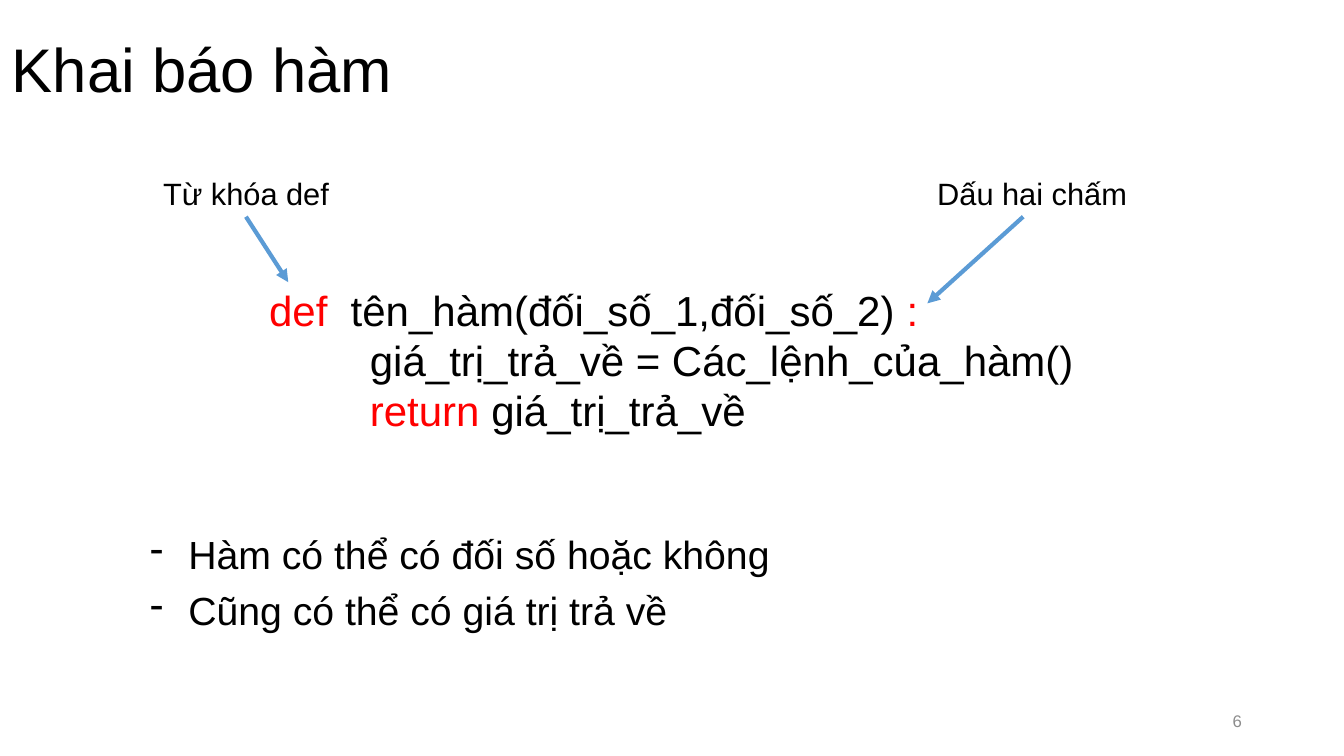
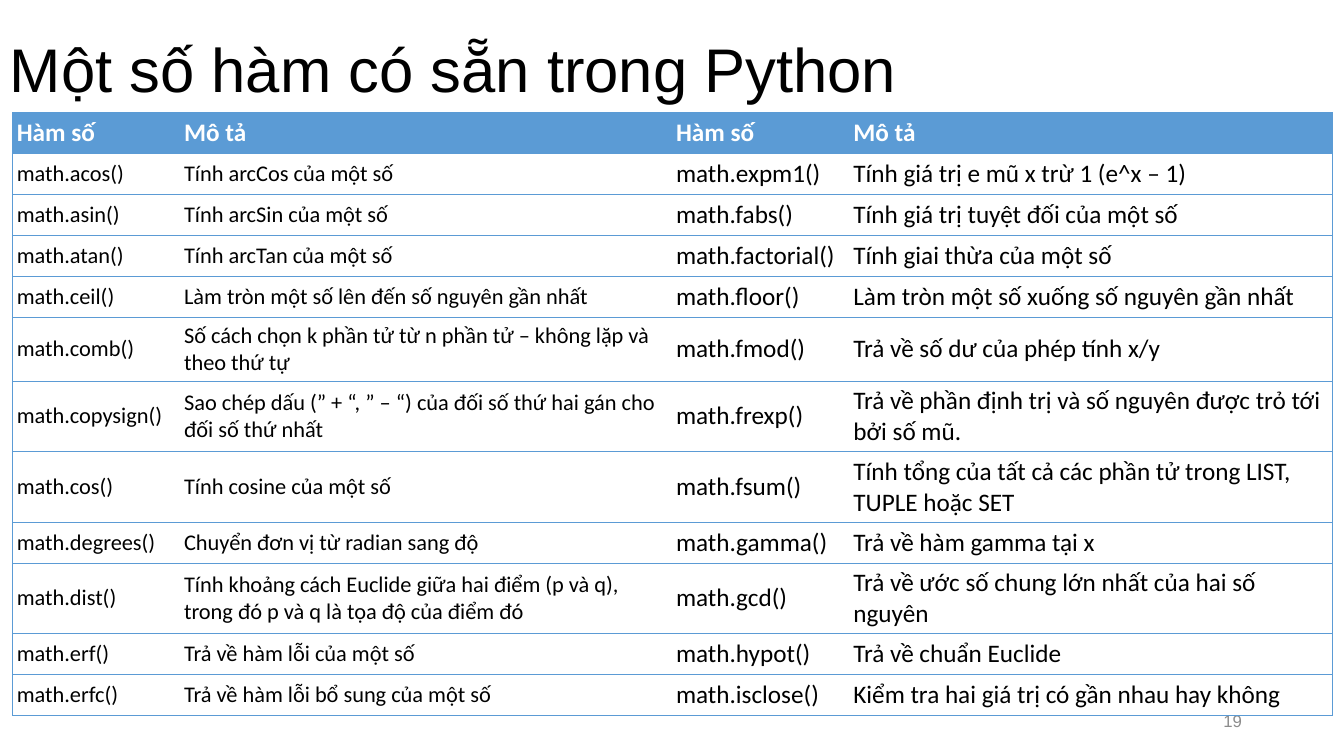
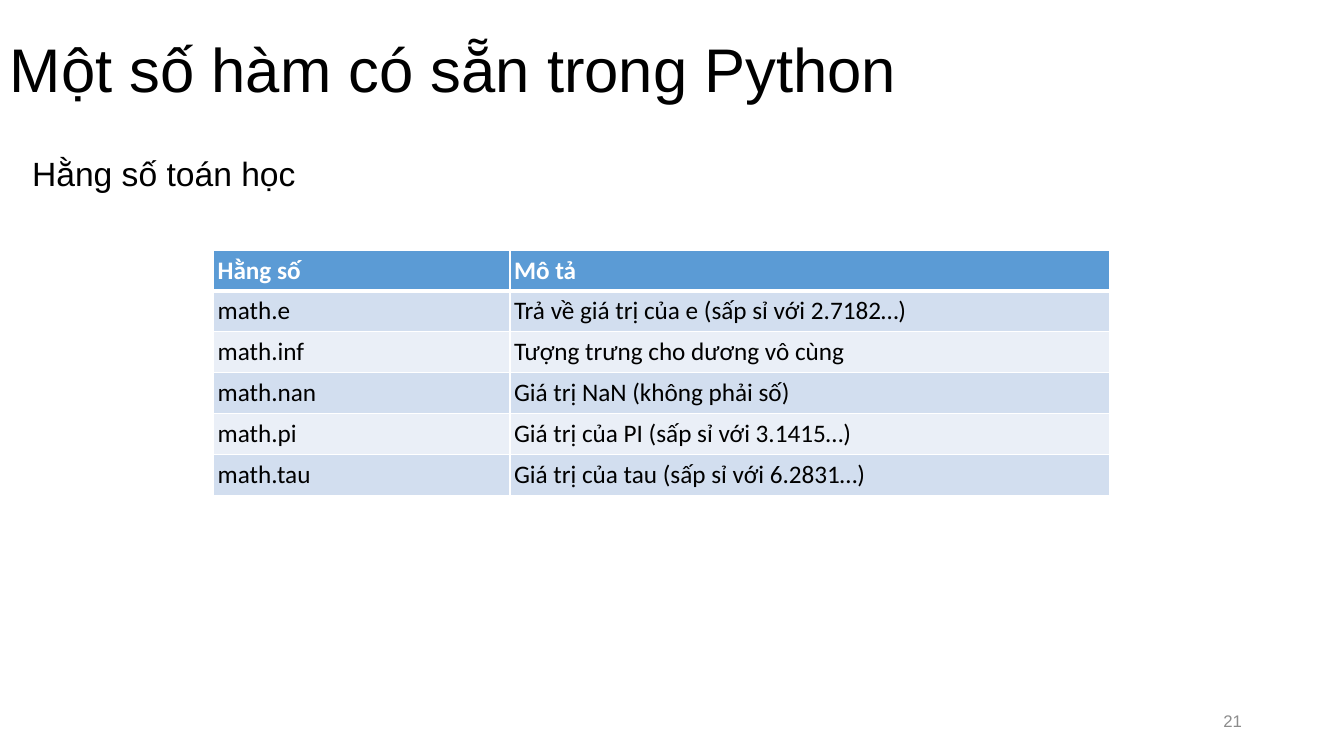
from dataclasses import dataclass

from lxml.etree import SubElement
from pptx import Presentation
from pptx.dml.color import RGBColor
from pptx.enum.shapes import MSO_CONNECTOR
from pptx.enum.text import MSO_ANCHOR, PP_ALIGN
from pptx.oxml import parse_xml
from pptx.oxml.ns import nsdecls, qn
from pptx.util import Inches, Pt


@dataclass(frozen=True)
class Theme:
    black: str = "000000"
    white: str = "FFFFFF"
    red: str = "FF0000"
    blue: str = "5B9BD5"
    grey: str = "8C8C8C"
    band_dark: str = "D2DEEF"
    band_light: str = "EAEFF7"
    body_font: str = "Arial"
    table_font: str = "Calibri"
    title: int = 44
    code: int = 30
    bullet: int = 28
    subtitle: int = 24
    label: int = 22
    cell: int = 18
    small_cell: int = 16
    number: int = 12


T = Theme()

prs = Presentation()
prs.slide_width, prs.slide_height = Inches(13.33), Inches(7.5)
# Grid of 100 columns by 100 rows
COL, ROW = prs.slide_width / 100, prs.slide_height / 100


def text(tf, *paras, size, color=T.black, font=T.body_font, bold=False,
         align=PP_ALIGN.LEFT, anchor=MSO_ANCHOR.TOP, spacing=None,
         before=None, indents=None, bullet=None):
    """Fill a frame; a paragraph is a string or a list of (string, colour)."""
    tf.word_wrap = True
    tf.vertical_anchor = anchor
    for i, para in enumerate(paras):
        p = tf.paragraphs[0] if i == 0 else tf.add_paragraph()
        p.alignment, p.line_spacing, p.space_before = align, spacing, before
        pPr = p._p.get_or_add_pPr()
        if indents:
            pPr.set("marL", str(Inches(indents[i])))
        if bullet:
            pPr.set("indent", str(-Inches(indents[i])))
            SubElement(pPr, qn("a:buChar")).set("char", bullet)
        for string, run_color in [(para, color)] if isinstance(para, str) else para:
            r = p.add_run()
            r.text = string
            r.font.size, r.font.name, r.font.bold = Pt(size), font, bold
            r.font.color.rgb = RGBColor.from_string(run_color)


def box(s, x, y, w, h):
    """Add a text box given in grid columns and rows; return its frame."""
    return s.shapes.add_textbox(round(x * COL), round(y * ROW),
                                round(w * COL), round(h * ROW)).text_frame


# Titles and slide numbers
slides = []
for title, number, left in [("Khai báo hàm", "6", 0.15),
                            ("Một số hàm có sẵn trong Python", "19", 0),
                            ("Một số hàm có sẵn trong Python", "21", 0)]:
    s = prs.slides.add_slide(prs.slide_layouts[6])
    text(box(s, left, 0, 100 - left, 19.33), title, size=T.title,
         anchor=MSO_ANCHOR.MIDDLE, spacing=0.9)
    text(box(s, 70.65, 92.67, 22.5, 5.33), number, size=T.number, color=T.grey,
         align=PP_ALIGN.RIGHT, anchor=MSO_ANCHOR.MIDDLE)
    slides.append(s)
declaration, functions, constants = slides

# Function declaration
text(box(declaration, 19.28, 36.93, 77.48, 21.6),
     [("def", T.red), ("  tên_hàm(đối_số_1,đối_số_2) ", T.black), (":", T.red)],
     "giá_trị_trả_về = Các_lệnh_của_hàm()",
     [("return", T.red), (" giá_trị_trả_về", T.black)],
     size=T.code, indents=(0, 1, 1))

# Labels with arrows to the code
for label, x, w, start, end in [
        ("Từ khóa def", 11.4, 15.08, (18.3, 28.67), (21.45, 37.33)),
        ("Dấu hai chấm", 69, 21.68, (76.13, 28.67), (69, 40.13))]:
    text(box(declaration, x, 22.4, w, 6.27), label, size=T.label)
    sp = declaration.shapes.add_connector(
        MSO_CONNECTOR.STRAIGHT, round(start[0] * COL), round(start[1] * ROW),
        round(end[0] * COL), round(end[1] * ROW))
    sp.line.color.rgb = RGBColor.from_string(T.blue)
    sp.line.width = Pt(3)
    SubElement(sp.line._get_or_add_ln(), qn("a:tailEnd")).set("type", "triangle")
    SubElement(sp._element.spPr, qn("a:effectLst"))

# Notes on arguments and return values
text(box(declaration, 10.43, 69.47, 84.53, 19.73),
     "Hàm có thể có đối số hoặc không", "Cũng có thể có giá trị trả về",
     size=T.bullet, align=PP_ALIGN.JUSTIFY, before=Pt(6.5),
     indents=(0.38, 0.38), bullet="-")

# Subtitle of the constants
text(box(constants, 1.65, 19.6, 92.18, 6.67), "Hằng số toán học",
     size=T.subtitle, align=PP_ALIGN.JUSTIFY)

# Table contents
function_rows = [
    ("Hàm số", "Mô tả", "Hàm số", "Mô tả"),
    ("math.acos()", "Tính arcCos của một số",
     "math.expm1()", "Tính giá trị e mũ x trừ 1 (e^x – 1)"),
    ("math.asin()", "Tính arcSin của một số",
     "math.fabs()", "Tính giá trị tuyệt đối của một số"),
    ("math.atan()", "Tính arcTan của một số",
     "math.factorial()", "Tính giai thừa của một số"),
    ("math.ceil()", "Làm tròn một số lên đến số nguyên gần nhất",
     "math.floor()", "Làm tròn một số xuống số nguyên gần nhất"),
    ("math.comb()", "Số cách chọn k phần tử từ n phần tử – không lặp và theo thứ tự",
     "math.fmod()", "Trả về số dư của phép tính x/y"),
    ("math.copysign()",
     "Sao chép dấu (” + “, ” – “) của đối số thứ hai gán cho đối số thứ nhất",
     "math.frexp()", "Trả về phần định trị và số nguyên được trỏ tới bởi số mũ."),
    ("math.cos()", "Tính cosine của một số",
     "math.fsum()", "Tính tổng của tất cả các phần tử trong LIST, TUPLE hoặc SET"),
    ("math.degrees()", "Chuyển đơn vị từ radian sang độ",
     "math.gamma()", "Trả về hàm gamma tại x"),
    ("math.dist()",
     "Tính khoảng cách Euclide giữa hai điểm (p và q), trong đó p và q là tọa độ của điểm đó",
     "math.gcd()", "Trả về ước số chung lớn nhất của hai số nguyên"),
    ("math.erf()", "Trả về hàm lỗi của một số",
     "math.hypot()", "Trả về chuẩn Euclide"),
    ("math.erfc()", "Trả về hàm lỗi bổ sung của một số",
     "math.isclose()", "Kiểm tra hai giá trị có gần nhau hay không"),
]
constant_rows = [
    ("Hằng số", "Mô tả"),
    ("math.e", "Trả về giá trị của e (sấp sỉ với 2.7182…)"),
    ("math.inf", "Tượng trưng cho dương vô cùng"),
    ("math.nan", "Giá trị NaN (không phải số)"),
    ("math.pi", "Giá trị của PI (sấp sỉ với 3.1415…)"),
    ("math.tau", "Giá trị của tau (sấp sỉ với 6.2831…)"),
]

# Tables: banded ones have a full white grid, plain ones blue rules and a frame
row_height = Pt(29.2)
for s, rows, x, y, widths, sizes, banded in [
        (functions, function_rows, 0.95, 14.9, (12.45, 36.6, 13.2, 35.92),
         (T.small_cell, T.small_cell, T.cell, T.cell), False),
        (constants, constant_rows, 15.9, 33.07, (22.05, 44.62),
         (T.cell, T.cell), True)]:
    table = s.shapes.add_table(len(rows), len(widths), round(x * COL), round(y * ROW),
                               round(sum(widths) * COL), row_height * len(rows)).table
    table.first_row = table.horz_banding = False
    for column, width in zip(table.columns, widths):
        column.width = round(width * COL)
    line_color, thin = (T.white, 1) if banded else (T.blue, 0.5)
    last = len(widths) - 1
    for i, row in enumerate(rows):
        table.rows[i].height = row_height
        for j, string in enumerate(row):
            cell = table.cell(i, j)
            header = i == 0
            cell.margin_left, cell.margin_right = Inches(0.04), Inches(0.1)
            cell.margin_top = cell.margin_bottom = Inches(0.05)
            cell.vertical_anchor = MSO_ANCHOR.MIDDLE
            text(cell.text_frame, string, size=T.cell if header else sizes[j],
                 color=T.white if header else T.black, font=T.table_font, bold=header)
            if header or banded:
                cell.fill.solid()
                cell.fill.fore_color.rgb = RGBColor.from_string(
                    T.blue if header else T.band_dark if i % 2 else T.band_light)
            else:
                cell.fill.background()
            # Borders stand before the fill, in the order left, right, top, bottom
            borders = {"lnL": thin if banded or j == 0 else 0,
                       "lnR": thin if banded or j == last else 0,
                       "lnT": 3 if banded and i == 1 else thin,
                       "lnB": 3 if banded and header else thin}
            tcPr = cell._tc.get_or_add_tcPr()
            for k, (tag, width) in enumerate(borders.items()):
                paint = (f'<a:solidFill><a:srgbClr val="{line_color}"/></a:solidFill>'
                         if width else "<a:noFill/>")
                tcPr.insert(k, parse_xml(
                    f'<a:{tag} {nsdecls("a")} w="{Pt(width)}">{paint}</a:{tag}>'))

prs.save("out.pptx")
